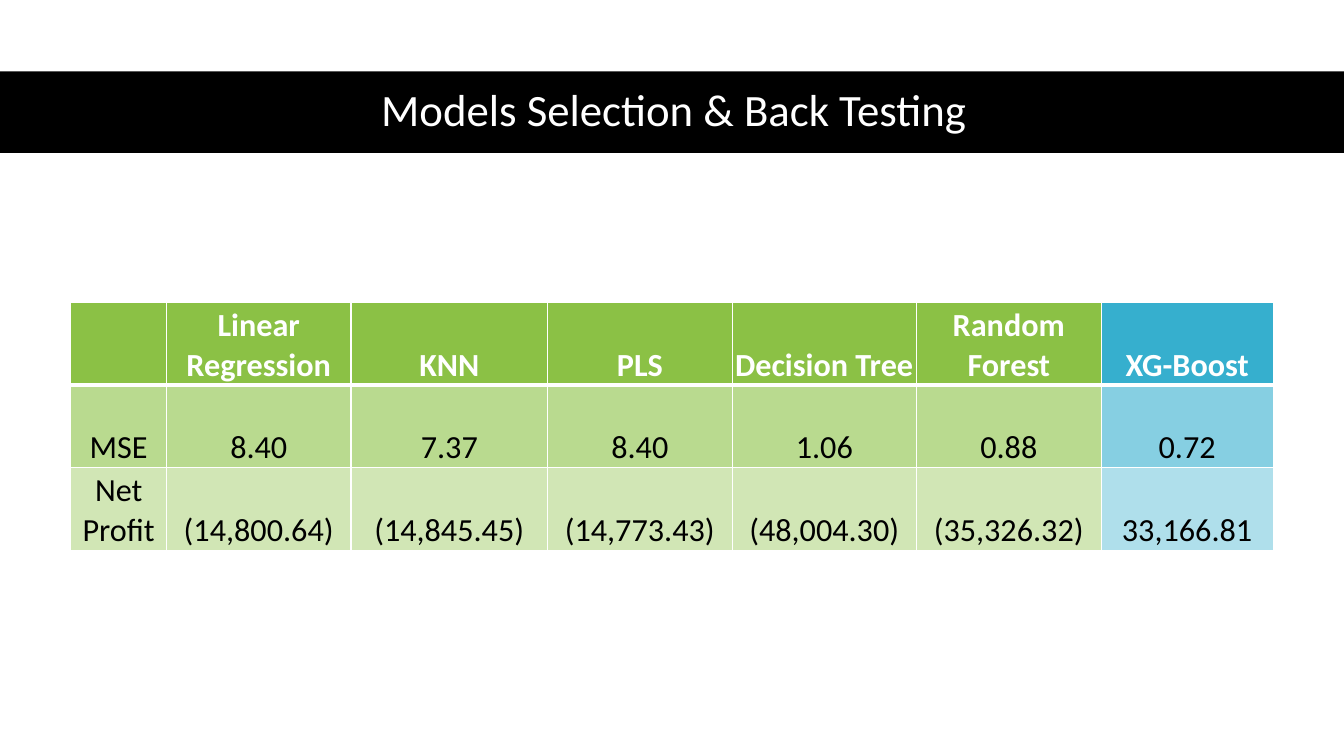
from lxml.etree import SubElement
from pptx import Presentation
from pptx.dml.color import RGBColor
from pptx.enum.shapes import MSO_SHAPE as Shape
from pptx.enum.text import MSO_ANCHOR as Anchor, PP_ALIGN as Align
from pptx.oxml.ns import qn
from pptx.util import Pt

COLOURS = {
    "white": "FFFFFF",
    "black": "000000",
    "header": "8BC145",
    "mse": "B9DA8F",
    "profit": "D1E6B5",
    "best_header": "36AFCE",
    "best_mse": "86CFE2",
    "best_profit": "AFDFEB",
}
ROWS = [
    ("header", ["", "Linear Regression", "KNN", "PLS", "Decision Tree",
                "Random Forest", "XG-Boost"]),
    ("mse", ["MSE", "8.40", "7.37", "8.40", "1.06", "0.88", "0.72"]),
    ("profit", ["Net Profit", "(14,800.64)", "(14,845.45)", "(14,773.43)",
                "(48,004.30)", "(35,326.32)", "33,166.81"]),
]
COLUMN_WIDTHS = [68.4, 131.8, 140.4, 131.8, 131.8, 131.8, 123.1]
ROW_HEIGHT = 59
CELL_FORMAT = {
    "vertical_anchor": Anchor.BOTTOM,
    "margin_left": Pt(1.4),
    "margin_right": Pt(1.4),
    "margin_top": Pt(1.4),
    "margin_bottom": 0,
}


def colour(name):
    return RGBColor.from_string(COLOURS[name])


def apply(target, values):
    for name, value in values.items():
        setattr(target, name, value)


def write(para, text, size, ink, bold=False):
    para.alignment = Align.CENTER
    span = para.add_run()
    span.text = text
    apply(span.font, {"name": "Calibri", "size": Pt(size), "bold": bold})
    span.font.color.rgb = colour(ink)


def add_bar(page, left, top, width, height):
    bar = page.shapes.add_shape(
        Shape.RECTANGLE, Pt(left), Pt(top), Pt(width), Pt(height))
    bar.shadow.inherit = False
    bar.fill.solid()
    bar.fill.fore_color.rgb = colour("black")
    bar.line.fill.background()


def add_title(page, text, left, top, width, height):
    box = page.shapes.add_textbox(Pt(left), Pt(top), Pt(width), Pt(height))
    frame = box.text_frame
    apply(frame, {"word_wrap": True, "vertical_anchor": Anchor.MIDDLE})
    para = frame.paragraphs[0]
    para.line_spacing = 0.9
    write(para, text, 32, "white")


def add_borders(cell, widths):
    properties = cell._tc.get_or_add_tcPr()
    for side, width in widths.items():
        line = SubElement(properties, qn(f"a:ln{side}"), w=str(Pt(width)))
        fill = SubElement(line, qn("a:solidFill"))
        SubElement(fill, qn("a:srgbClr"), val=COLOURS["white"])


def fill_cell(cell, text, kind, best):
    is_header = kind == "header"
    add_borders(cell, {"L": 1, "R": 1, "T": 3 if kind == "mse" else 1,
                       "B": 3 if is_header else 1})
    apply(cell, CELL_FORMAT)
    cell.fill.solid()
    cell.fill.fore_color.rgb = colour(f"best_{kind}" if best else kind)
    if text:
        ink = "white" if is_header else "black"
        write(cell.text_frame.paragraphs[0], text, 23, ink, is_header)


def add_results(page, left, top):
    table = page.shapes.add_table(
        len(ROWS), len(COLUMN_WIDTHS), Pt(left), Pt(top),
        Pt(sum(COLUMN_WIDTHS)), Pt(ROW_HEIGHT * len(ROWS))).table
    apply(table, {"first_row": False, "horz_banding": False})
    for column, width in zip(table.columns, COLUMN_WIDTHS):
        column.width = Pt(width)
    for row, (kind, texts) in zip(table.rows, ROWS):
        row.height = Pt(ROW_HEIGHT)
        for index, text in enumerate(texts):
            fill_cell(row.cells[index], text, kind, index == len(texts) - 1)


def main():
    deck = Presentation()
    apply(deck, {"slide_width": Pt(960), "slide_height": Pt(540)})
    page = deck.slides.add_slide(deck.slide_layouts[6])
    add_bar(page, 0, 51, 960, 58.3)
    add_title(page, "Models Selection & Back Testing", 40, 50.5, 883, 58.3)
    add_results(page, 50.6, 216)
    deck.save("out.pptx")


if __name__ == "__main__":
    main()
